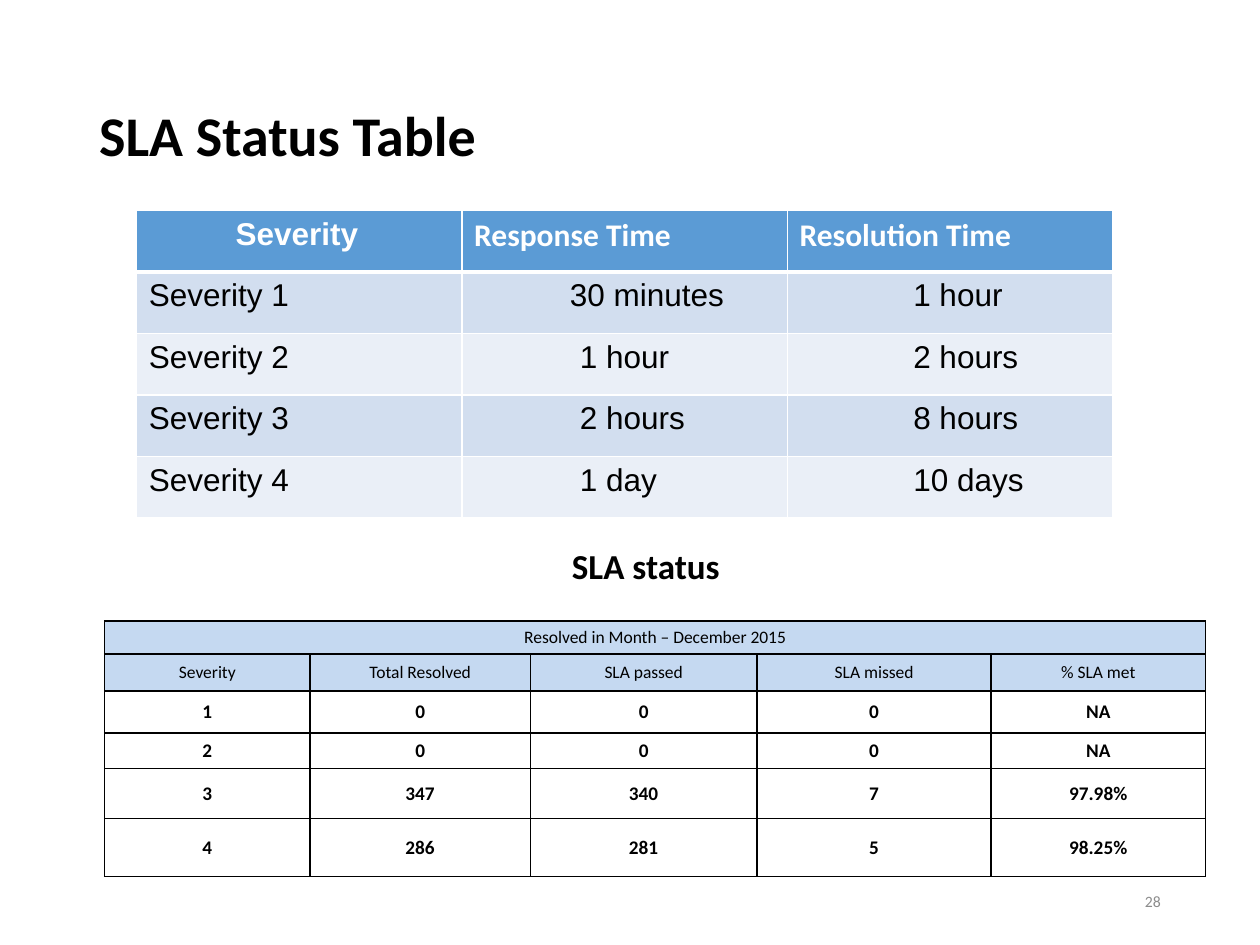
from lxml import etree
from pptx import Presentation
from pptx.dml.color import RGBColor
from pptx.enum.text import MSO_ANCHOR, PP_ALIGN
from pptx.oxml.ns import qn
from pptx.util import Cm, Pt

LEFT, MID, RIGHT = PP_ALIGN.LEFT, PP_ALIGN.CENTER, PP_ALIGN.RIGHT
TOP, CENTER, BASE = MSO_ANCHOR.TOP, MSO_ANCHOR.MIDDLE, MSO_ANCHOR.BOTTOM

theme = {
    "black": "000000", "white": "FFFFFF", "gray": "8C8C8C",
    "head": "5B9BD5", "bands": ["D2DEEF", "EAEFF7"], "label": "C5D9F1",
    "sans": "Arial", "body": "Calibri",
    "title": 32, "sub": 20, "large": 18, "data": 11, "small": 10, "page": 9,
}


def write(frame, text, size, font="body", color="black", bold=False, align=LEFT):
    par = frame.paragraphs[0]
    par.alignment = align
    run = par.add_run()
    run.text = text
    run.font.size = Pt(theme[size])
    run.font.name = theme[font]
    run.font.bold = bold
    run.font.color.rgb = RGBColor.from_string(theme[color])
    return par


def style(cell, fill, color, sides):
    props = cell._tc.get_or_add_tcPr()
    for side in "LRTB":
        width = sides.get(side, 0)
        line = etree.SubElement(props, qn("a:ln" + side), w=str(Pt(width)))
        if width:
            solid = etree.SubElement(line, qn("a:solidFill"))
            etree.SubElement(solid, qn("a:srgbClr"), val=theme[color])
        else:
            etree.SubElement(line, qn("a:noFill"))
    if fill:
        cell.fill.solid()
        cell.fill.fore_color.rgb = RGBColor.from_string(fill)
    else:
        cell.fill.background()


deck = Presentation()
deck.slide_width, deck.slide_height = Cm(25.4), Cm(19.05)
slide = deck.slides.add_slide(deck.slide_layouts[6])
shapes = slide.shapes

box = shapes.add_textbox(Cm(1.75), Cm(1.96), Cm(21.9), Cm(1.65))
box.text_frame.word_wrap = True
box.text_frame.vertical_anchor = CENTER
par = write(box.text_frame, "SLA Status Table", "title", bold=True)
par.line_spacing = 0.9

cols = [4.14, 4.44, 4.57, 4.72, 4.32]
rows = [0.86, 0.66, 0.66, 0.75, 0.85, 0.71, 1.01, 1.17]
month = [
    [""] * 5,
    [""] * 5,
    ["Resolved in Month – December 2015"] + [""] * 4,
    ["Severity", "Total Resolved", "SLA passed", "SLA missed", "% SLA met"],
    ["1", "0", "0", "0", "NA"],
    ["2", "0", "0", "0", "NA"],
    ["3", "347", "340", "7", "97.98%"],
    ["4", "286", "281", "5", "98.25%"],
]
month[0][1] = "SLA status"
grid = shapes.add_table(len(rows), len(cols), Cm(2.11), Cm(11), Cm(sum(cols)), Cm(sum(rows))).table
grid.first_row = grid.horz_banding = False
for col, width in zip(grid.columns, cols):
    col.width = Cm(width)
for row, height in zip(grid.rows, rows):
    row.height = Cm(height)
grid.cell(0, 1).merge(grid.cell(0, 4))
grid.cell(2, 0).merge(grid.cell(2, 4))
for r, line in enumerate(month):
    sides = {} if r == 0 else {"B": 1} if r == 1 else dict.fromkeys("LRTB", 1)
    for c, text in enumerate(line):
        cell = grid.cell(r, c)
        cell.margin_left = cell.margin_right = cell.margin_top = cell.margin_bottom = 0
        cell.vertical_anchor = CENTER if r else BASE
        style(cell, theme["label"] if r in (2, 3) else None, "black", sides)
        if not text:
            par = cell.text_frame.paragraphs[0]
            etree.SubElement(par._p, qn("a:endParaRPr"), sz=str(theme["small"] * 100))
        elif r == 0:
            cell.margin_left = Cm(5.28)
            write(cell.text_frame, text, "sub", bold=True)
        else:
            size = "data" if r > 3 else "small"
            write(cell.text_frame, text, size, bold=r > 3, align=MID)

box = shapes.add_textbox(Cm(17.93), Cm(17.65), Cm(5.72), Cm(1.02))
box.text_frame.word_wrap = True
box.text_frame.vertical_anchor = CENTER
write(box.text_frame, "28", "page", color="gray", align=RIGHT)

times = [
    ["Severity", "Response Time", "Resolution Time"],
    ["Severity 1", "30 minutes", "1 hour"],
    ["Severity 2", "1 hour", "2 hours"],
    ["Severity 3", "2 hours", "8 hours"],
    ["Severity 4", "1 day", "10 days"],
]
grid = shapes.add_table(5, 3, Cm(2.75), Cm(4.24), Cm(19.68), Cm(6.2)).table
for r, line in enumerate(times):
    grid.rows[r].height = Cm(1.24)
    sides = {"L": 1, "R": 1, "T": 3 if r == 1 else 1, "B": 1 if r else 3}
    fill = theme["bands"][(r - 1) % 2] if r else theme["head"]
    for c, text in enumerate(line):
        cell = grid.cell(r, c)
        cell.vertical_anchor = TOP
        style(cell, fill, "white", sides)
        inset = [0.25, 2.18 if r == 1 else 2.38, 2.54] if r else [2, 0.25, 0.25]
        cell.margin_left = Cm(inset[c])
        font = "body" if r == 0 and c else "sans"
        write(cell.text_frame, text, "large", font, "black" if r else "white", r == 0)

deck.save("out.pptx")
